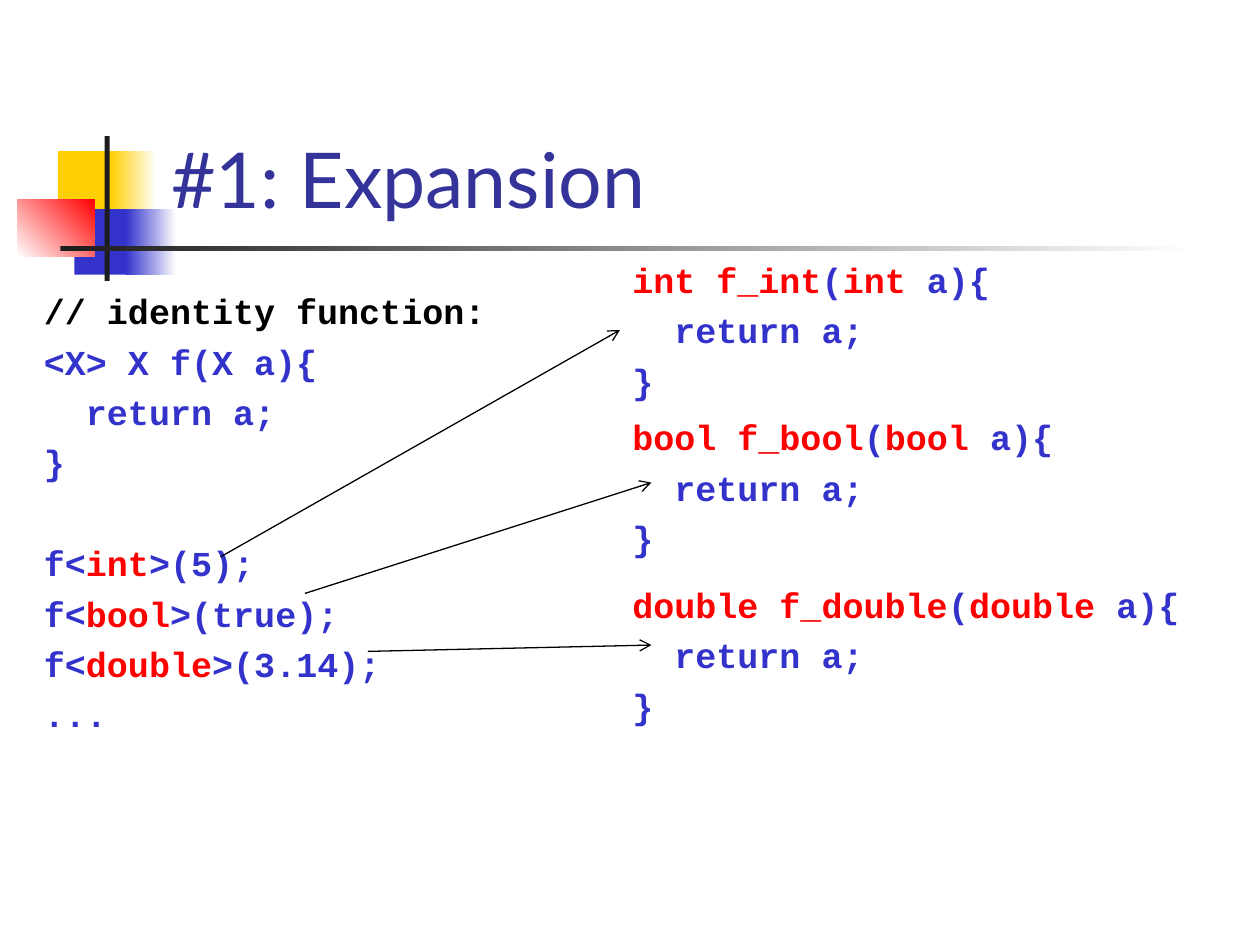
from lxml.etree import SubElement
from pptx import Presentation
from pptx.dml.color import RGBColor
from pptx.enum.shapes import MSO_CONNECTOR, MSO_SHAPE
from pptx.enum.text import MSO_ANCHOR, PP_ALIGN
from pptx.oxml.ns import qn
from pptx.util import Inches, Pt

COLORS = {
    "yellow": "FFCF01",
    "blue": "3333CC",
    "red": "FF0000",
    "dark": "1C1C1C",
    "white": "FFFFFF",
    "black": "000000",
    "title": "333399",
}
LINE_GAP = 4.8     # points between code lines
LINE_PITCH = 28.8  # points from one code line to the next


def rgb(name):
    return RGBColor.from_string(COLORS[name])


def add_block(s, left, top, width, height, start, end=None, angle=0):
    """Add a borderless rectangle, solid or fading from start to end."""
    sp = s.shapes.add_shape(MSO_SHAPE.RECTANGLE, Inches(left), Inches(top),
                            Inches(width), Inches(height))
    sp.shadow.inherit = False
    sp.line.fill.background()
    if end is None:
        sp.fill.solid()
        sp.fill.fore_color.rgb = rgb(start)
        return
    sp.fill.gradient()
    sp.fill.gradient_angle = angle
    for stop, color in zip(sp.fill.gradient_stops, (start, end)):
        stop.color.rgb = rgb(color)


def add_ornament(s, left, top):
    add_block(s, left + 0.32, top + 0.12, 0.48, 0.52, "yellow")
    add_block(s, left + 0.74, top + 0.12, 0.36, 0.52, "yellow", "white")
    add_block(s, left + 0.45, top + 0.58, 0.46, 0.52, "blue")
    add_block(s, left + 0.86, top + 0.58, 0.4, 0.52, "blue", "white")
    add_block(s, left, top + 0.5, 0.61, 0.46, "white", "red", angle=45)
    add_block(s, left + 0.69, top, 0.04, 1.15, "dark")
    add_block(s, left + 0.34, top + 0.87, 9, 0.04, "dark", "white")


def set_title(s, text, left, top, width, height):
    title = s.shapes.title
    title.left, title.top = Inches(left), Inches(top)
    title.width, title.height = Inches(width), Inches(height)
    tf = title.text_frame
    tf.text = text
    tf.vertical_anchor = MSO_ANCHOR.BOTTOM
    p = tf.paragraphs[0]
    p.alignment = PP_ALIGN.LEFT
    font = p.runs[0].font
    font.name, font.size = "Lato", Pt(44)
    font.color.rgb = rgb("title")
    s.shapes._spTree.append(title._element)  # in front of the ornament


def add_code(s, left, top, width, height, lines):
    """Add code lines, each a list of (text, color); None skips a line."""
    tf = s.shapes.add_textbox(Inches(left), Inches(top), Inches(width),
                              Inches(height)).text_frame
    tf.word_wrap = True
    p, gap = tf.paragraphs[0], 0
    for i, line in enumerate(lines):
        if line is None:
            gap += LINE_PITCH
            continue
        if i:
            p = tf.add_paragraph()
        p.space_before = Pt(gap)
        gap = LINE_GAP
        for text, color in line:
            r = p.add_run()
            r.text = text
            r.font.name, r.font.size, r.font.bold = "Courier New", Pt(20), True
            r.font.color.rgb = rgb(color)


def add_generic(s, left, top, width, height, calls):
    """Add the generic function followed by its calls."""
    lines = [[("// identity function:", "black")]]
    lines += [[(text, "blue")] for text in ("<X> X f(X a){", "  return a;", "}")]
    lines.append(None)
    lines += [[("f<", "blue"), (kind, "red"), (f">({value});", "blue")]
              for kind, value in calls]
    lines.append([("...", "blue")])
    add_code(s, left, top, width, height, lines)


def add_expansion(s, left, top, width, height, kind):
    """Add the function generated for one type."""
    add_code(s, left, top, width, height, [
        [(f"{kind} f_{kind}", "red"), ("(", "blue"), (kind, "red"), (" a){", "blue")],
        [("  return a;", "blue")],
        [("}", "blue")],
    ])


def add_arrow(s, start, end):
    line = s.shapes.add_connector(MSO_CONNECTOR.STRAIGHT,
                                  *(Inches(v) for v in start + end))
    line.line.width = Pt(0.75)
    line.line.color.rgb = rgb("black")
    SubElement(line.line._get_or_add_ln(), qn("a:tailEnd"), type="arrow")
    SubElement(line._element.spPr, qn("a:effectLst"))


def main():
    prs = Presentation()
    prs.slide_width, prs.slide_height = Inches(10), Inches(7.5)
    s = prs.slides.add_slide(prs.slide_layouts[5])
    add_ornament(s, 0.14, 1.08)
    set_title(s, "#1: Expansion", 1.26, 0.23, 8.52, 1.6)
    add_generic(s, 0.25, 2.25, 4.42, 4.5,
                [("int", "5"), ("bool", "true"), ("double", "3.14")])
    for kind, top, width, start, end in (
        ("int", 2, 4.42, (1.75, 4.42), (4.92, 2.62)),
        ("bool", 3.25, 4.42, (2.42, 4.71), (5.17, 3.83)),
        ("double", 4.58, 4.75, (2.92, 5.17), (5.17, 5.12)),
    ):
        add_expansion(s, 4.92, top, width, 1.25, kind)
        add_arrow(s, start, end)
    prs.save("out.pptx")


if __name__ == "__main__":
    main()
